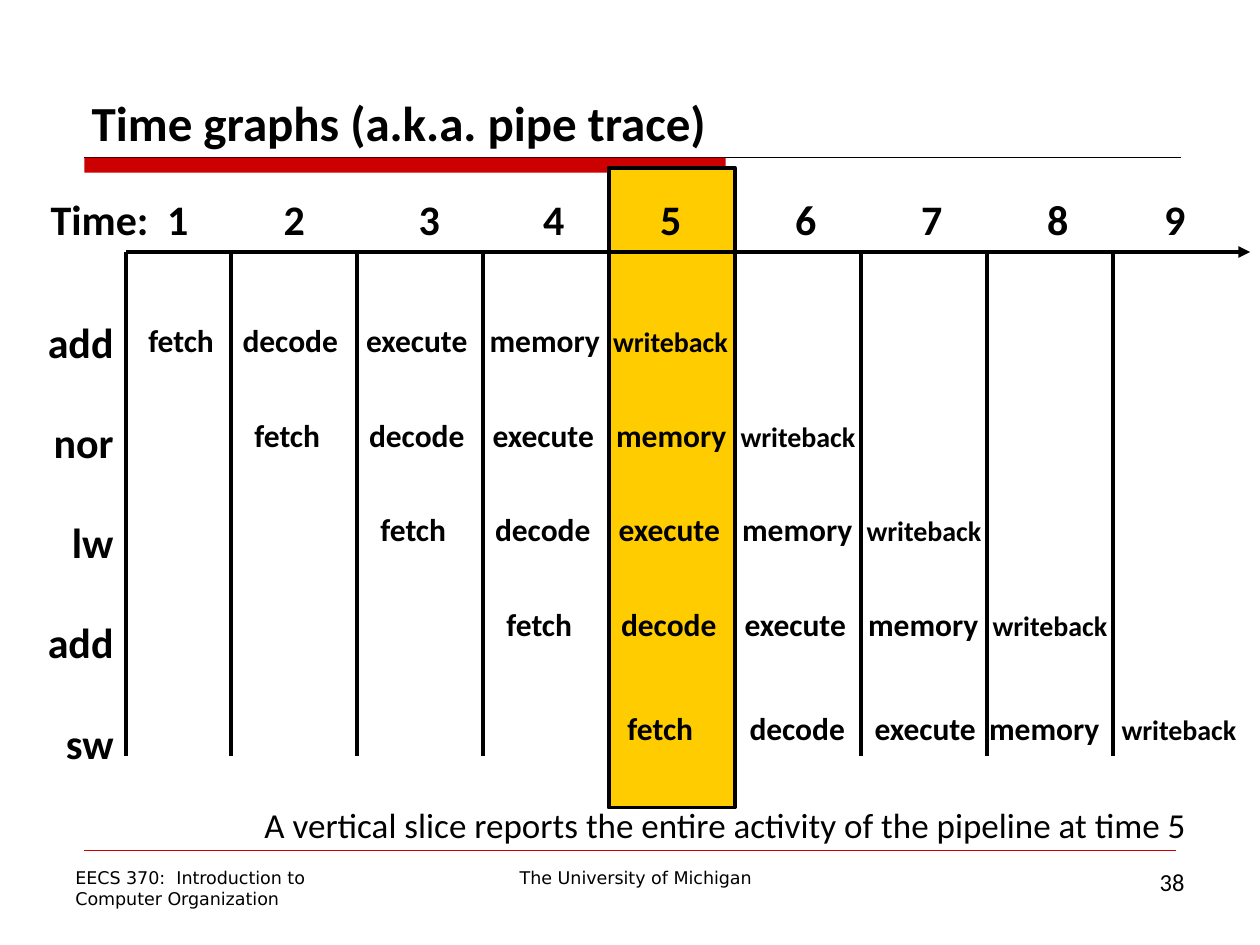
from lxml import etree
from pptx import Presentation
from pptx.dml.color import RGBColor
from pptx.enum.shapes import MSO_CONNECTOR, MSO_SHAPE
from pptx.enum.text import MSO_ANCHOR, PP_ALIGN
from pptx.oxml.ns import qn
from pptx.util import Cm, Pt

LEFT, MID, RIGHT = PP_ALIGN.LEFT, PP_ALIGN.CENTER, PP_ALIGN.RIGHT
TOP, BASE = MSO_ANCHOR.TOP, MSO_ANCHOR.BOTTOM
RECT = MSO_SHAPE.RECTANGLE
LINE = MSO_CONNECTOR.STRAIGHT
BLACK, RED, GOLD = "000000", "CC0000", "FFCC00"
SANS, BODY = "DejaVu Sans", "Calibri"
STEP = 2.54
AXIS = 5.08
STAGES = ["fetch", "decode", "execute", "memory"]
EVEN = [2.31, 4.8, 7.29, 9.8]
TRACE = [
    (2.74, 6.35, [1.9, 4.39, 6.88, 9.37]),
    (4.88, 8.26, EVEN),
    (7.42, 10.16, EVEN),
    (9.96, 12.07, EVEN),
    (12.4, 14.17, [2.46, 4.98, 7.29, 9.96]),
]
TICKS = [2.35, 4.7, 7.42, 9.93, 12.29, 15.01, 17.55, 20.09, 22.45]


def tint(code):
    return RGBColor.from_string(code)


def add_run(para, text, size, font=BODY, bold=False):
    run = para.add_run()
    run.text = text
    run.font.size = Pt(size)
    run.font.name = font
    run.font.bold = bold
    run.font.color.rgb = tint(BLACK)


def add_tabs(para, stops):
    tabs = etree.SubElement(para._p.get_or_add_pPr(), qn("a:tabLst"))
    for stop in stops:
        etree.SubElement(tabs, qn("a:tab"), pos=str(Cm(stop)), algn="l")


def add_text(slide, box, paras, align=LEFT, tabs=(), gap=0, anchor=TOP, inset=0.25):
    frame = slide.shapes.add_textbox(*map(Cm, box)).text_frame
    frame.word_wrap = True
    frame.vertical_anchor = anchor
    frame.margin_left = Cm(inset)
    for i, runs in enumerate(paras):
        para = frame.add_paragraph() if i else frame.paragraphs[0]
        para.alignment = align
        if i and gap:
            para.space_before = Pt(gap)
        if tabs:
            add_tabs(para, tabs)
        for run in runs:
            add_run(para, *run)


def add_rect(slide, box, fill, edge=0):
    rect = slide.shapes.add_shape(RECT, *map(Cm, box))
    rect.shadow.inherit = False
    rect.fill.solid()
    rect.fill.fore_color.rgb = tint(fill)
    if edge:
        rect.line.color.rgb = tint(BLACK)
        rect.line.width = Pt(edge)
    else:
        rect.line.fill.background()


def add_line(slide, ends, width=2.25, color=BLACK, arrow=False):
    line = slide.shapes.add_connector(LINE, *map(Cm, ends))
    line.line.color.rgb = tint(color)
    line.line.width = Pt(width)
    props = line._element.spPr
    if arrow:
        etree.SubElement(props.find(qn("a:ln")), qn("a:tailEnd"), type="triangle")
    etree.SubElement(props, qn("a:effectLst"))


def add_frame(slide):
    add_line(slide, (1.7, 3.18, 23.8, 3.18), 0.75)
    add_rect(slide, (1.7, 3.18, 12.93, 0.3), RED)
    add_line(slide, (1.7, 17.15, 23.7, 17.15), 0.25, RED)
    add_text(slide, (8.05, 17.35, 9.53, 0.69),
             [[("The University of Michigan", 10, SANS)]], MID)
    add_text(slide, (1.27, 17.35, 6.99, 1.09),
             [[("EECS 370:  Introduction to", 10, SANS)],
              [("Computer Organization", 10, SANS)]])
    add_text(slide, (18.21, 17.35, 5.92, 1.32), [[("38", 14)]], RIGHT)
    add_text(slide, (1.6, 0.84, 22.23, 2.34),
             [[("Time graphs (a.k.a. pipe trace)", 28, BODY, True)]], anchor=BASE)


def add_slice(slide):
    add_rect(slide, (12.27, 3.38, STEP, 12.9), GOLD, 2.25)
    note = "A vertical slice reports the entire activity of the pipeline at time 5"
    add_text(slide, (5.08, 16.08, 19.3, 1.12), [[(note, 20)]])


def add_grid(slide):
    add_line(slide, (2.54, AXIS, 25.2, AXIS), arrow=True)
    for x in [2.54] + [4.65 + STEP * i for i in range(8)]:
        add_line(slide, (x, AXIS, x, 15.24))
    label = "\t".join(["Time:"] + [str(n) for n in range(1, 10)])
    add_text(slide, (-0.2, 3.78, 24.38, 1.27),
             [[(label, 24, BODY, True)]], tabs=TICKS, inset=1.22)


def add_trace(slide):
    names = ["add", "nor", "lw", "add", "sw"]
    add_text(slide, (0.13, 6.25, 2.41, 9.5),
             [[(name, 24, BODY, True)] for name in names], RIGHT, gap=28.5)
    lead = "\t".join(STAGES) + "\t"
    for left, top, tabs in TRACE:
        runs = [(lead, 18, BODY, True), ("writeback", 16, BODY, True)]
        add_text(slide, (left, top, 13, 1.02), [runs], tabs=tabs)


def main():
    deck = Presentation()
    deck.slide_width, deck.slide_height = Cm(25.4), Cm(19.05)
    slide = deck.slides.add_slide(deck.slide_layouts[6])
    add_frame(slide)
    add_slice(slide)
    add_grid(slide)
    add_trace(slide)
    deck.save("out.pptx")


if __name__ == "__main__":
    main()
